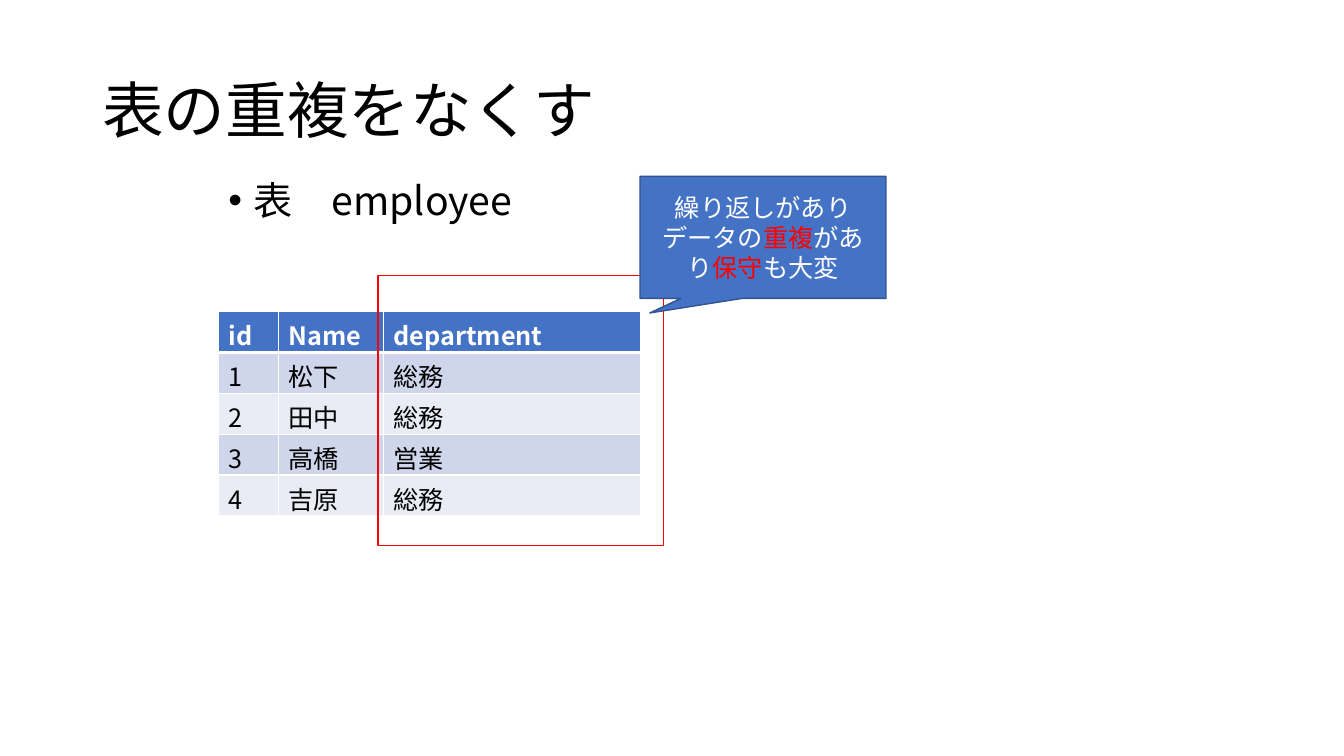
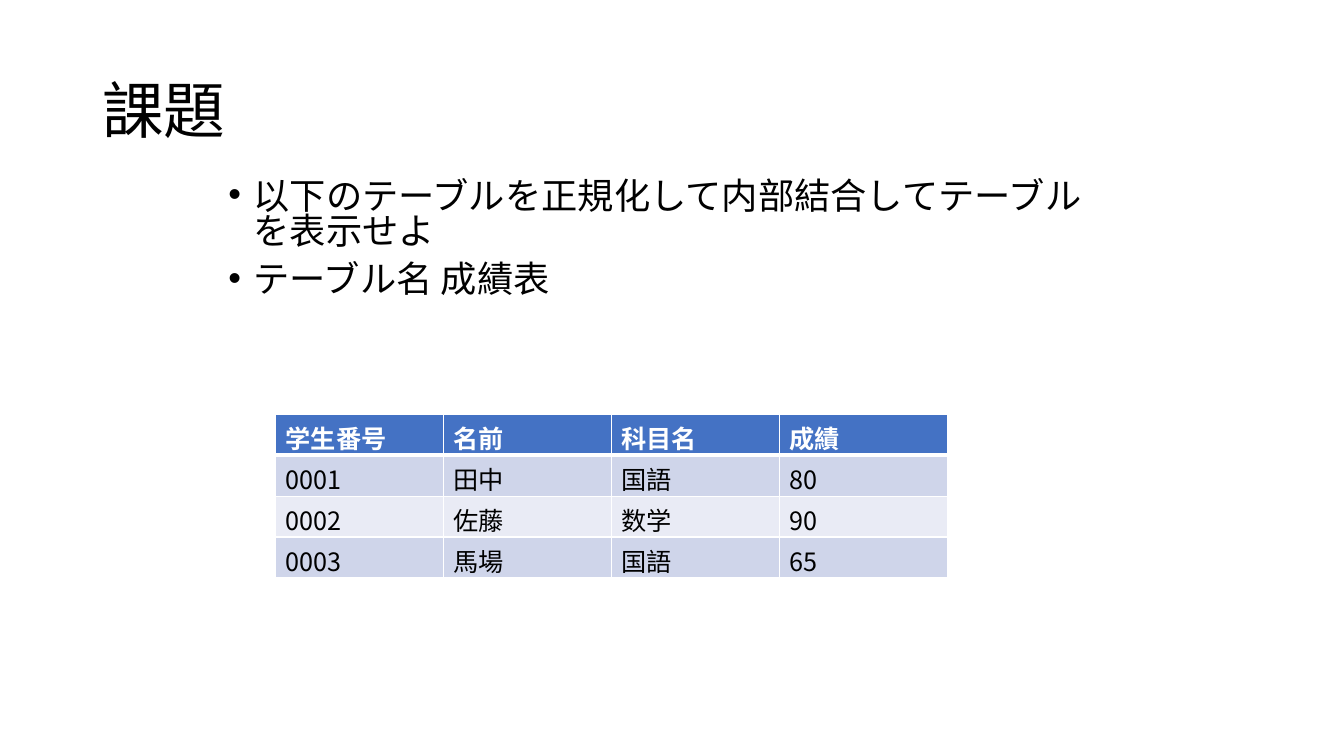
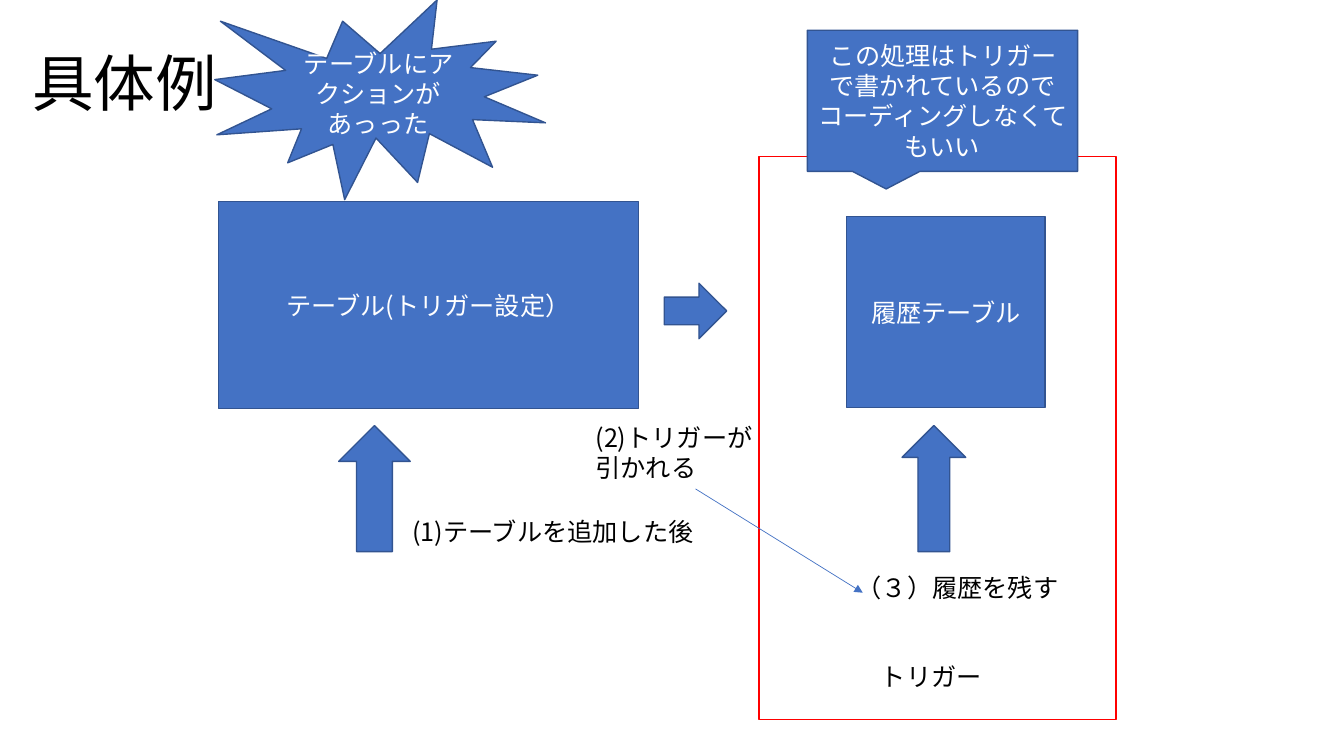
from lxml.etree import SubElement
from pptx import Presentation
from pptx.dml.color import RGBColor
from pptx.enum.shapes import MSO_CONNECTOR, MSO_SHAPE as SHAPE
from pptx.enum.text import MSO_ANCHOR as ANCHOR, PP_ALIGN as ALIGN
from pptx.oxml.ns import qn
from pptx.util import Pt

FONT = "Noto Sans CJK JP"
COLORS = {
    "text": "000000", "white": "FFFFFF", "accent": "4472C4", "edge": "325491",
    "red": "FF0000", "odd_row": "CFD5EA", "even_row": "E9EBF5",
}
TITLE_SIZE = (828, 104.4)
TITLE_AT = (66, 28.8)

# Boxes are (left, top, width, height).
DUPLICATION = {
    "title": "表の重複をなくす",
    "bullets": ["表\u3000employee".replace("\u3000", "　")],
    "rows": [
        ("id", "Name", "department"),
        ("1", "松下", "総務"),
        ("2", "田中", "総務"),
        ("3", "高橋", "営業"),
        ("4", "吉原", "総務"),
    ],
    "columns": (43, 75, 183.6),
}
DUPLICATION["bullets"] = ["表　employee"]
REPETITION_FRAME = (270, 196.6, 203.8, 193)
REPETITION_CALLOUT = (457.2, 126, 175.7, 87.1)
REPETITION_NOTE = [
    ("繰り返しがありデータの", "white"), ("重複", "red"), ("があり", "white"),
    ("保守", "red"), ("も大変", "white"),
]

EXERCISE = {
    "title": "課題",
    "bullets": ["以下のテーブルを正規化して内部結合してテーブルを表示せよ", "テーブル名 成績表"],
    "rows": [
        ("学生番号", "名前", "科目名", "成績"),
        ("0001", "田中", "国語", "80"),
        ("0002", "佐藤", "数学", "90"),
        ("0003", "馬場", "国語", "65"),
    ],
    "columns": (120,) * 4,
}

TRIGGER_TITLE = "具体例"
TRIGGER_FRAME = (542.2, 111.6, 254.9, 402.5)
TRIGGER_SHAPES = [
    (SHAPE.RECTANGLE, (604.8, 154.8, 141.8, 136.1), "履歴テーブル"),
    (SHAPE.UP_ARROW, (241.9, 304, 51.1, 90), ""),
    (SHAPE.RECTANGLE, (156, 144, 300.2, 147.6), "テーブル(トリガー設定）"),
    (SHAPE.UP_ARROW, (644.4, 304, 45.4, 90), ""),
    (SHAPE.RECTANGULAR_CALLOUT, (576.7, 21.6, 193, 100.8),
     "この処理はトリガーで書かれているのでコーディングしなくてもいい"),
    (SHAPE.RIGHT_ARROW, (474.5, 202.3, 44.6, 39.6), ""),
    (SHAPE.EXPLOSION1, (153.4, 0, 236.2, 142.6), "テーブルにアクションがあっった"),
]
TRIGGER_LABELS = [
    ((287.3, 365, 220.3, 28.8), ["(1)テーブルを追加した後"], False),
    ((604.8, 405.4, 159.8, 28.8), ["（３）履歴を残す"], False),
    ((622.1, 468.7, 87.1, 28.8), ["トリガー"], False),
    ((418.3, 298.1, 129.6, 51.1), ["(2)トリガーが", "引かれる"], True),
]
TRIGGER_ARROW = (496.8, 349.2, 616.3, 423.4)


def rgb(name):
    return RGBColor.from_string(COLORS[name])


def points(lengths):
    return [Pt(length) for length in lengths]


def write(frame, paragraphs, size=18, color="text", bold=False, align=ALIGN.LEFT,
          line=None, before=None, bullet=False):
    """Fill a text frame; a paragraph is a string or a list of (text, color) runs."""
    for index, content in enumerate(paragraphs):
        paragraph = frame.paragraphs[0] if index == 0 else frame.add_paragraph()
        paragraph.alignment = align
        if line:
            paragraph.line_spacing = line
        if before:
            paragraph.space_before = Pt(before)
        if bullet:
            props = paragraph._p.get_or_add_pPr()
            props.set("marL", str(Pt(18)))
            props.set("indent", str(Pt(-18)))
            SubElement(props, qn("a:buFont"), typeface="Arial")
            SubElement(props, qn("a:buChar"), char="•")
        runs = [(content, color)] if isinstance(content, str) else content
        for words, run_color in runs:
            run = paragraph.add_run()
            run.text = words
            font = run.font
            font.name, font.size, font.bold = FONT, Pt(size), bold
            font.color.rgb = rgb(run_color)
            SubElement(run._r.get_or_add_rPr(), qn("a:ea"), typeface=FONT)


def add_text(slide, box, paragraphs, wrap=True, anchor=ANCHOR.TOP, **text_format):
    frame = slide.shapes.add_textbox(*points(box)).text_frame
    frame.word_wrap = wrap
    frame.vertical_anchor = anchor
    write(frame, paragraphs, **text_format)


def add_titled_slide(deck, title, at=TITLE_AT):
    slide = deck.slides.add_slide(deck.slide_layouts[6])
    add_text(slide, at + TITLE_SIZE, [title], anchor=ANCHOR.MIDDLE, size=44, line=0.9)
    return slide


def add_bullets(slide, bullets, height, size, line):
    add_text(slide, (156, 126, 648, height), bullets, size=size, line=line,
             before=10, bullet=True)


def add_block(slide, preset, box, content="", fill="accent", edge="edge"):
    block = slide.shapes.add_shape(preset, *points(box))
    block.shadow.inherit = False
    if fill:
        block.fill.solid()
        block.fill.fore_color.rgb = rgb(fill)
    else:
        block.fill.background()
    block.line.color.rgb = rgb(edge)
    block.line.width = Pt(1)
    if content:
        block.text_frame.word_wrap = True
        write(block.text_frame, [content], color="white", align=ALIGN.CENTER)
    return block


def add_frame(slide, box):
    add_block(slide, SHAPE.RECTANGLE, box, fill=None, edge="red")


def add_border(cell, side, width):
    edge = SubElement(cell._tc.get_or_add_tcPr(), qn("a:ln" + side), w=str(Pt(width)))
    SubElement(SubElement(edge, qn("a:solidFill")), qn("a:srgbClr"), val=COLORS["white"])


def add_grid(slide, left, top, rows, columns, row_height=29.2):
    """Add a table with a dark header, banded rows and white rules."""
    grid = slide.shapes.add_table(
        len(rows), len(columns),
        *points((left, top, sum(columns), row_height * len(rows)))).table
    for column, width in zip(grid.columns, columns):
        column.width = Pt(width)
    for r, values in enumerate(rows):
        header = r == 0
        fill = "accent" if header else "odd_row" if r % 2 else "even_row"
        borders = {"L": 1, "R": 1, "T": 3 if r == 1 else 1, "B": 3 if header else 1}
        for c, value in enumerate(values):
            cell = grid.cell(r, c)
            for side, width in borders.items():
                add_border(cell, side, width)
            cell.fill.solid()
            cell.fill.fore_color.rgb = rgb(fill)
            write(cell.text_frame, [value], bold=header,
                  color="white" if header else "text")


def add_arrow(slide, ends):
    arrow = slide.shapes.add_connector(MSO_CONNECTOR.STRAIGHT, *points(ends))
    arrow.line.color.rgb = rgb("accent")
    arrow.line.width = Pt(0.5)
    props = arrow._element.spPr
    SubElement(props.find(qn("a:ln")), qn("a:tailEnd"), type="triangle")
    SubElement(props, qn("a:effectLst"))


def build_duplication(deck):
    slide = add_titled_slide(deck, DUPLICATION["title"])
    add_bullets(slide, DUPLICATION["bullets"], height=47.5, size=28, line=0.9)
    add_grid(slide, 156, 222.5, DUPLICATION["rows"], DUPLICATION["columns"])
    add_frame(slide, REPETITION_FRAME)
    callout = add_block(slide, SHAPE.RECTANGULAR_CALLOUT, REPETITION_CALLOUT,
                        REPETITION_NOTE)
    callout.adjustments[0] = -0.46
    callout.adjustments[1] = 0.62


def build_exercise(deck):
    slide = add_titled_slide(deck, EXERCISE["title"])
    add_bullets(slide, EXERCISE["bullets"], height=98.6, size=25.9, line=0.8)
    add_grid(slide, 196.8, 296, EXERCISE["rows"], EXERCISE["columns"])


def build_trigger(deck):
    slide = add_titled_slide(deck, TRIGGER_TITLE, at=(16, 9.4))
    add_frame(slide, TRIGGER_FRAME)
    for preset, box, content in TRIGGER_SHAPES:
        add_block(slide, preset, box, content)
    for box, lines, wrap in TRIGGER_LABELS:
        add_text(slide, box, lines, wrap=wrap)
    add_arrow(slide, TRIGGER_ARROW)


def main():
    deck = Presentation()
    deck.slide_width, deck.slide_height = Pt(960), Pt(540)
    for build in (build_duplication, build_exercise, build_trigger):
        build(deck)
    deck.save("out.pptx")


if __name__ == "__main__":
    main()
